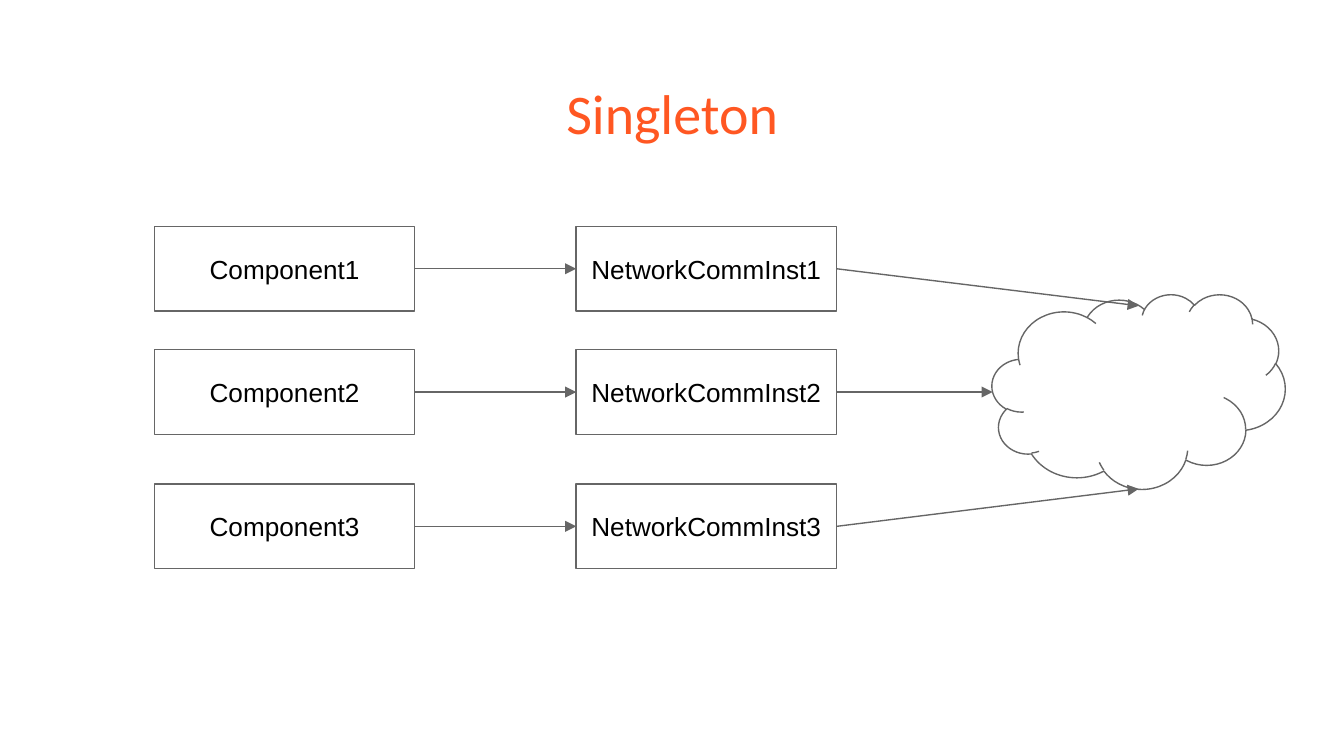
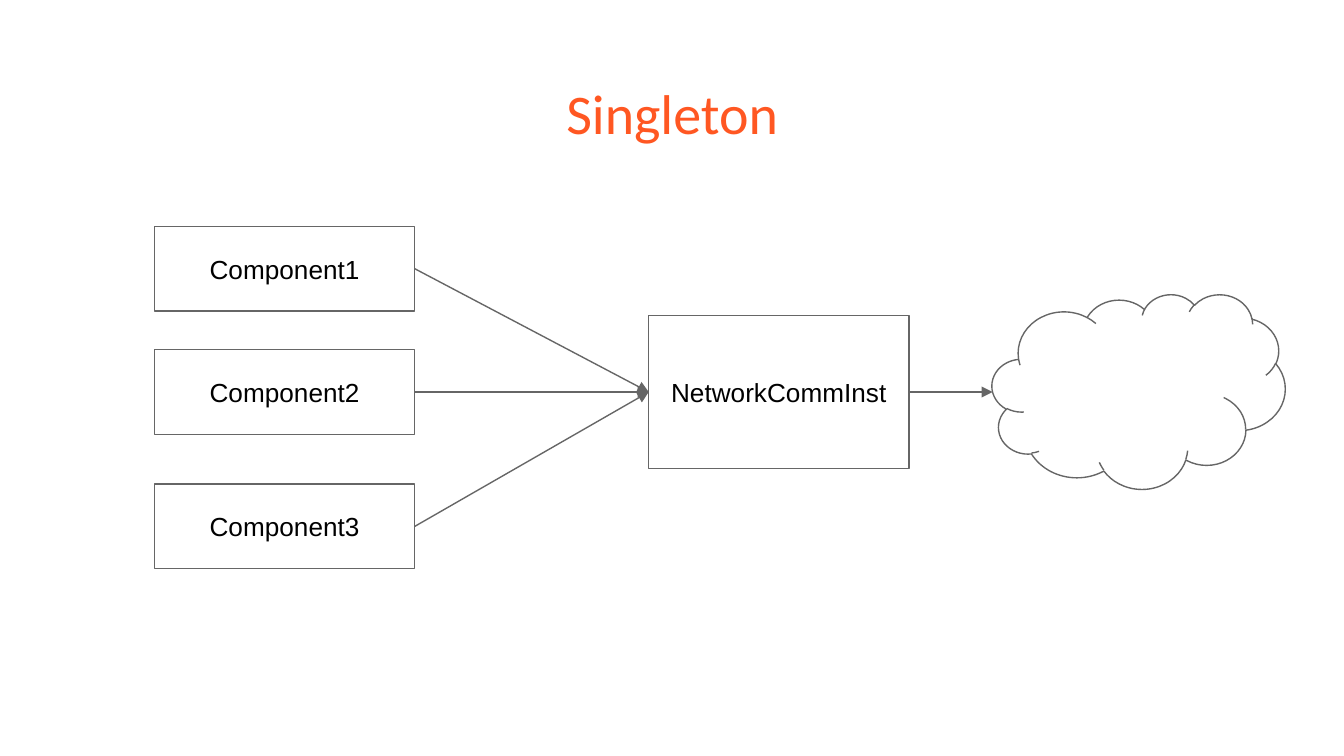
from lxml import etree
from pptx import Presentation
from pptx.dml.color import RGBColor
from pptx.enum.shapes import MSO_CONNECTOR, MSO_SHAPE
from pptx.enum.text import MSO_ANCHOR, PP_ALIGN
from pptx.oxml.ns import qn
from pptx.util import Cm, Pt

ORANGE = RGBColor(0xFF, 0x57, 0x22)
GREY = RGBColor(0x66, 0x66, 0x66)
BLACK = RGBColor(0x00, 0x00, 0x00)

PAD = Cm(0.25)
THIN = Pt(0.75)
BOX_W, BOX_H = 4.92, 1.6
PART_X = 2.92
ROWS = (5.08, 7.41, 9.95)
MID = ROWS[1]
CLOUD = (18.75, 5.56, 5.54, 3.68)
CLOUD_L = (18.76, MID)
CLOUD_T = (21.52, 5.78)
CLOUD_B = (21.52, 9.24)


def put_text(shape, text, font, size, color, anchor):
    frame = shape.text_frame
    frame.word_wrap = True
    frame.vertical_anchor = anchor
    frame.margin_left = frame.margin_right = PAD
    frame.margin_top = frame.margin_bottom = PAD
    para = frame.paragraphs[0]
    para.alignment = PP_ALIGN.CENTER
    run = para.add_run()
    run.text = text
    run.font.name = font
    run.font.size = Pt(size)
    run.font.color.rgb = color


def add_title(slide, text):
    box = slide.shapes.add_textbox(Cm(0.87), Cm(1.24), Cm(23.67), Cm(1.6))
    put_text(box, text, "Calibri", 30, ORANGE, MSO_ANCHOR.TOP)


def add_outline(slide, kind, x, y, w, h):
    shape = slide.shapes.add_shape(kind, Cm(x), Cm(y), Cm(w), Cm(h))
    shape.shadow.inherit = False
    shape.fill.background()
    shape.line.color.rgb = GREY
    shape.line.width = THIN
    return shape


def add_box(slide, text, x, mid, h=BOX_H):
    box = add_outline(slide, MSO_SHAPE.RECTANGLE, x, mid - h / 2, BOX_W, h)
    put_text(box, text, "Arial", 14, BLACK, MSO_ANCHOR.MIDDLE)
    return box


def add_arrow(slide, box, x, y):
    start = box.left + box.width, box.top + box.height // 2
    arrow = slide.shapes.add_connector(MSO_CONNECTOR.STRAIGHT, *start, x, y)
    arrow.begin_connect(box, 3)
    arrow.line.color.rgb = GREY
    arrow.line.width = THIN
    line = arrow.line._get_or_add_ln()
    etree.SubElement(line, qn("a:tailEnd"), type="triangle")
    etree.SubElement(arrow._element.spPr, qn("a:effectLst"))
    return arrow


def join_boxes(slide, box, goal):
    arrow = add_arrow(slide, box, goal.left, goal.top + goal.height // 2)
    arrow.end_connect(goal, 1)


def join_cloud(slide, box, point):
    add_arrow(slide, box, Cm(point[0]), Cm(point[1]))


def add_base(deck):
    slide = deck.slides.add_slide(deck.slide_layouts[6])
    add_title(slide, "Singleton")
    add_outline(slide, MSO_SHAPE.CLOUD, *CLOUD)
    parts = [add_box(slide, f"Component{n}", PART_X, mid)
             for n, mid in enumerate(ROWS, 1)]
    return slide, parts


def build_many(deck):
    slide, parts = add_base(deck)
    ends = (CLOUD_T, CLOUD_L, CLOUD_B)
    for n, (part, mid, end) in enumerate(zip(parts, ROWS, ends), 1):
        inst = add_box(slide, f"NetworkCommInst{n}", 10.89, mid)
        join_boxes(slide, part, inst)
        join_cloud(slide, inst, end)


def build_one(deck):
    slide, parts = add_base(deck)
    inst = add_box(slide, "NetworkCommInst", 12.26, MID, 2.9)
    for part in parts:
        join_boxes(slide, part, inst)
    join_cloud(slide, inst, CLOUD_L)


def main():
    deck = Presentation()
    deck.slide_width = Cm(25.4)
    deck.slide_height = Cm(14.29)
    build_many(deck)
    build_one(deck)
    deck.save("out.pptx")


if __name__ == "__main__":
    main()
